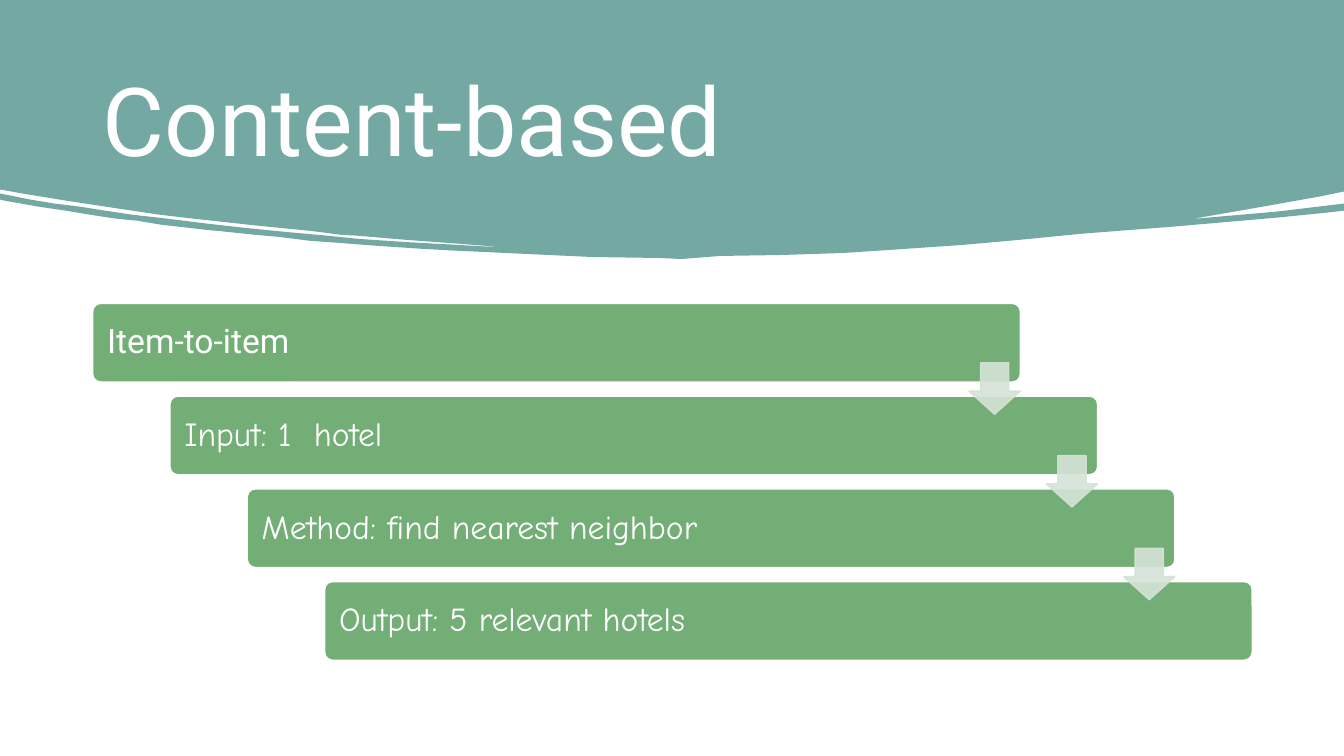
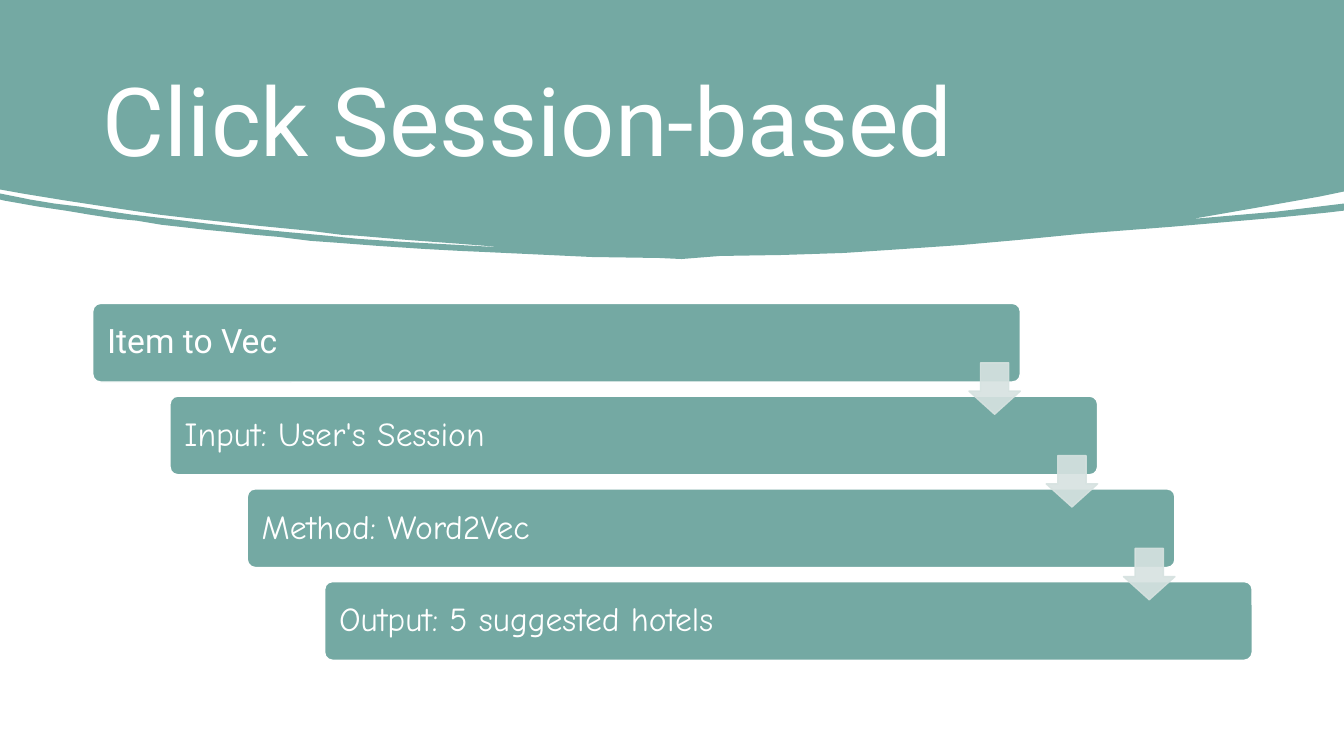
from pptx import Presentation
from pptx.dml.color import RGBColor
from pptx.enum.shapes import MSO_SHAPE
from pptx.enum.text import MSO_ANCHOR, MSO_AUTO_SIZE, PP_ALIGN
from pptx.oxml.ns import qn
from pptx.util import Inches, Pt
from lxml.etree import SubElement

COLORS = {
    "white": "FFFFFF",
    "teal": "74A9A3",
    "green": "73AE76",
    "pale teal": "D6E2E0",
    "pale green": "D5E3D6",
}
HEAD, HAND = "Roboto", "Comic Neue"

# Staircase of steps, in inches
LEFT, TOP, WIDTH, HEIGHT = 0.92, 3.01, 9.2, 0.78
SHIFT, DROP = 2.3 / 3, 0.92
ARROW = 0.51

# Outline of the curved band, in hundredths of an inch
WAVE = [
    (0, 0), (1333, 0), (1333, 190), (1309, 195), (1247, 206), (1184, 217),
    (1175, 218), (1186, 217), (1266, 210), (1333, 202), (1333, 209),
    (1316, 211), (1266, 216), (1162, 225), (1072, 232), (1011, 238),
    (955, 243), (882, 248), (837, 251), (776, 253), (714, 254), (676, 257),
    (654, 256), (587, 255), (480, 250), (457, 249), (420, 247), (375, 244),
    (336, 241), (308, 239), (276, 235), (253, 233), (225, 230), (204, 228),
    (178, 225), (160, 223), (136, 219), (115, 217), (89, 213), (65, 209),
    (38, 205), (4, 199), (0, 198), (0, 192), (30, 198), (54, 202),
    (79, 205), (104, 209), (131, 213), (166, 217), (206, 222), (242, 226),
    (282, 230), (326, 234), (355, 237), (400, 240), (454, 243), (489, 245),
    (504, 245), (495, 245), (457, 242), (403, 238), (356, 234), (339, 233),
    (307, 229), (256, 224), (229, 221), (192, 217), (158, 213), (111, 206),
    (65, 199), (22, 192), (0, 188),
]

SLIDES = [
    ("Content-based", "green",
     ["Item-to-item", "Input: 1  hotel", "Method: find nearest neighbor",
      "Output: 5 relevant hotels"]),
    ("Click Session-based", "teal",
     ["Item to Vec", "Input: User's Session", "Method: Word2Vec",
      "Output: 5 suggested hotels"]),
]


def rgb(name):
    return RGBColor.from_string(COLORS[name])


def paint(shape, fill, line=None):
    shape.shadow.inherit = False
    shape.fill.solid()
    shape.fill.fore_color.rgb = rgb(fill)
    if line:
        shape.line.color.rgb = rgb(line)
        shape.line.width = Pt(1)
    else:
        shape.line.fill.background()


def style(frame, font, size):
    frame.word_wrap = True
    frame.auto_size = MSO_AUTO_SIZE.NONE
    frame.vertical_anchor = MSO_ANCHOR.MIDDLE
    for para in frame.paragraphs:
        para.alignment = PP_ALIGN.LEFT
        for run in para.runs:
            run.font.name = font
            run.font.size = Pt(size)
            run.font.color.rgb = rgb("white")


def add_band(slide):
    """Draw the band and move it to the layout, which all slides share."""
    pen = slide.shapes.build_freeform(*WAVE[0], scale=Inches(0.01))
    pen.add_line_segments(WAVE[1:], close=True)
    band = pen.convert_to_shape()
    paint(band, "teal")
    slide.slide_layout.shapes._spTree.insert(2, band._element)


def add_title(slide, text):
    title = slide.shapes.title
    title.left, title.top = Inches(0.92), Inches(0.44)
    title.width, title.height = Inches(11.5), Inches(1.47)
    title.text_frame.text = text
    style(title.text_frame, HEAD, 68)


def add_step(slide, row, text, color):
    bar = slide.shapes.add_shape(
        MSO_SHAPE.ROUNDED_RECTANGLE, Inches(LEFT + row * SHIFT),
        Inches(TOP + row * DROP), Inches(WIDTH), Inches(HEIGHT))
    bar.adjustments[0] = 0.1
    paint(bar, color, "white")
    frame = bar.text_frame
    frame.margin_left = Inches(0.12)
    frame.text = text
    frame.paragraphs[0].line_spacing = 0.9
    style(frame, HAND if row else HEAD, 24)


def add_arrow(slide, row, color):
    arrow = slide.shapes.add_shape(
        MSO_SHAPE.DOWN_ARROW, Inches(LEFT + WIDTH - ARROW + row * SHIFT),
        Inches(3.6 + row * DROP), Inches(ARROW), Inches(ARROW))
    arrow.adjustments[0], arrow.adjustments[1] = 0.55, 0.45
    paint(arrow, color, color)
    # Slight transparency for fill and line
    for tint in arrow._element.spPr.iter(qn("a:srgbClr")):
        SubElement(tint, qn("a:alpha"), val="90000")


def add_stairs(slide, steps, color):
    for row, text in enumerate(steps):
        add_step(slide, row, text, color)
    for row in range(len(steps) - 1):
        add_arrow(slide, row, "pale " + color)


def main():
    deck = Presentation()
    deck.slide_width, deck.slide_height = Inches(13.33), Inches(7.5)
    layout = deck.slide_layouts.get_by_name("Title Only")
    for title, color, steps in SLIDES:
        slide = deck.slides.add_slide(layout)
        add_title(slide, title)
        add_stairs(slide, steps, color)
    add_band(deck.slides[0])
    deck.save("out.pptx")


if __name__ == "__main__":
    main()
